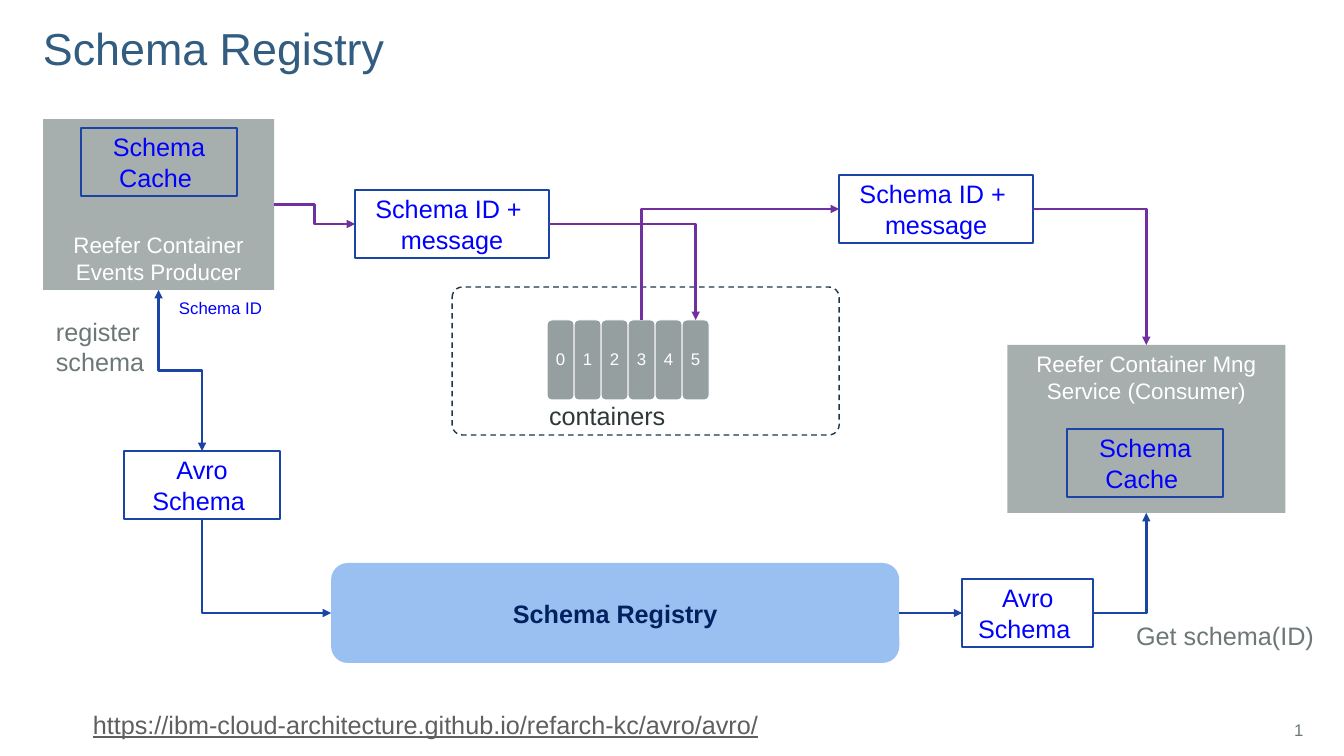
import pptx
import pptx.util
import pptx.dml.color
import pptx.enum.dml
import pptx.enum.shapes
import pptx.enum.text
import lxml.etree
from pptx.oxml.ns import qn

RGBColor = pptx.dml.color.RGBColor
Shape = pptx.enum.shapes.MSO_SHAPE
Link = pptx.enum.shapes.MSO_CONNECTOR
Anchor = pptx.enum.text.MSO_ANCHOR
Align = pptx.enum.text.PP_ALIGN
Pt = pptx.util.Pt

WHITE = RGBColor(0xFF, 0xFF, 0xFF)
TITLE_BLUE = RGBColor(0x32, 0x5C, 0x80)
NAVY = RGBColor(0x00, 0x20, 0x60)
DARK_SLATE = RGBColor(0x1D, 0x36, 0x49)
LINE_BLUE = RGBColor(0x1B, 0x44, 0xA7)
TEXT_BLUE = RGBColor(0x00, 0x00, 0xFF)
SKY = RGBColor(0x99, 0xC0, 0xF0)
PURPLE = RGBColor(0x70, 0x30, 0xA0)
PARTITION_GRAY = RGBColor(0x95, 0x9F, 0x9F)
SERVICE_GRAY = RGBColor(0xA7, 0xAE, 0xAE)
LABEL_GRAY = RGBColor(0x6D, 0x77, 0x77)
TOPIC_GRAY = RGBColor(0x2E, 0x38, 0x38)
URL_GRAY = RGBColor(0x5F, 0x5F, 0x5F)

PX = 914400 / 100.8
TOP, LEFT, BOTTOM, RIGHT = range(4)

deck = pptx.Presentation()
deck.slide_width = pptx.util.Inches(13.33)
deck.slide_height = pptx.util.Inches(7.5)
page = deck.slides.add_slide(deck.slide_layouts[6])


def add_text(text, place, shape=None, fill=None, line=None, weight=1.25,
             size=18, color=TEXT_BLUE, bold=False, underline=False,
             align=Align.LEFT, anchor=Anchor.TOP, wrap=True,
             spacing=None, margins=None):
    bounds = [round(value * PX) for value in place]
    if shape is None:
        box = page.shapes.add_textbox(*bounds)
    else:
        box = page.shapes.add_shape(shape, *bounds)
        box.shadow.inherit = False
        if fill is None:
            box.fill.background()
        else:
            box.fill.solid()
            box.fill.fore_color.rgb = fill
        if line is None:
            box.line.fill.background()
        else:
            box.line.color.rgb = line
            box.line.width = Pt(weight)
    frame = box.text_frame
    frame.word_wrap = wrap
    frame.vertical_anchor = anchor
    if margins:
        (frame.margin_left, frame.margin_top,
         frame.margin_right, frame.margin_bottom) = [round(m * PX) for m in margins]
    frame.text = text
    for para in frame.paragraphs:
        para.alignment = align
        if spacing:
            para.line_spacing = spacing
        for span in para.runs:
            span.font.name = "Arial"
            span.font.size = Pt(size)
            span.font.bold = bold
            span.font.underline = underline
            span.font.color.rgb = color
    return box


def add_arrow(start, start_side, finish, finish_side, preset, color, heads):
    kind = Link.STRAIGHT if preset == "line" else Link.ELBOW
    arrow = page.shapes.add_connector(kind, 0, 0, 0, 0)
    arrow.begin_connect(start, start_side)
    arrow.end_connect(finish, finish_side)
    arrow.line.color.rgb = color
    arrow.line.width = Pt(2)
    properties = arrow._element.spPr
    properties.find(qn("a:prstGeom")).set("prst", preset)
    outline = properties.find(qn("a:ln"))
    for head in heads:
        lxml.etree.SubElement(outline, qn("a:" + head)).set("type", "triangle")
    lxml.etree.SubElement(properties, qn("a:effectLst"))
    return arrow


# Title, page number and address
add_text("Schema Registry", (43, 7, 1200, 68), size=32, color=TITLE_BLUE,
         anchor=Anchor.BOTTOM, spacing=0.85, margins=(0, 5, 10, 0))
add_text("1", (1255, 710, 58, 40), size=12, color=LABEL_GRAY,
         align=Align.RIGHT, anchor=Anchor.MIDDLE)
add_text("https://ibm-cloud-architecture.github.io/refarch-kc/avro/avro/",
         (83, 704, 1021, 40), color=URL_GRAY, underline=True)

# Registry and the two services
registry = add_text("Schema Registry", (331, 563, 568, 100), Shape.ROUNDED_RECTANGLE,
                    fill=SKY, color=NAVY, bold=True,
                    align=Align.CENTER, anchor=Anchor.MIDDLE)
producer = add_text("Reefer Container Events Producer", (43, 119, 231, 171),
                    Shape.RECTANGLE, fill=SERVICE_GRAY, size=16, color=WHITE,
                    align=Align.CENTER, anchor=Anchor.BOTTOM)
consumer = add_text("Reefer Container Mng Service (Consumer)", (1007, 345, 278, 168),
                    Shape.RECTANGLE, fill=SERVICE_GRAY, size=16, color=WHITE,
                    align=Align.CENTER)

# Topic with its partitions
partitions = [
    add_text(str(number), (547 + 27 * number, 320, 27, 80), Shape.ROUNDED_RECTANGLE,
             fill=PARTITION_GRAY, line=WHITE, weight=0.75, size=12, color=WHITE,
             align=Align.CENTER, anchor=Anchor.MIDDLE, spacing=0.9,
             margins=(0, 0, 0, 0))
    for number in range(6)]
topic = add_text("", (452, 287, 387, 148), Shape.ROUNDED_RECTANGLE,
                 line=DARK_SLATE, weight=1)
topic.adjustments[0] = 0.07
topic.line.dash_style = pptx.enum.dml.MSO_LINE.DASH

# Outlined schema and message boxes
outlined = {}
for name, text, place in (
        ("sent", "Schema ID + \nmessage", (355, 190, 194, 68)),
        ("received", "Schema ID + \nmessage", (839, 175, 194, 68)),
        ("registered", "Avro Schema ", (124, 451, 156, 68)),
        ("fetched", "Avro Schema ", (962, 579, 131, 68)),
        ("producer cache", "Schema Cache ", (81, 128, 156, 68)),
        ("consumer cache", "Schema Cache ", (1067, 429, 156, 68))):
    outlined[name] = add_text(text, place, Shape.RECTANGLE, line=LINE_BLUE,
                              align=Align.CENTER, anchor=Anchor.MIDDLE)
sent, received = outlined["sent"], outlined["received"]
registered, fetched = outlined["registered"], outlined["fetched"]

# Message flow in purple, schema flow in blue
for start, start_side, finish, finish_side, preset, color, head in (
        (producer, RIGHT, sent, LEFT, "bentConnector3", PURPLE, "tailEnd"),
        (sent, RIGHT, partitions[5], TOP, "bentConnector2", PURPLE, "tailEnd"),
        (received, LEFT, partitions[3], TOP, "bentConnector2", PURPLE, "headEnd"),
        (received, RIGHT, consumer, TOP, "bentConnector2", PURPLE, "tailEnd"),
        (registry, LEFT, registered, BOTTOM, "bentConnector2", LINE_BLUE, "headEnd"),
        (registry, RIGHT, fetched, LEFT, "line", LINE_BLUE, "tailEnd"),
        (fetched, RIGHT, consumer, BOTTOM, "bentConnector2", LINE_BLUE, "tailEnd")):
    add_arrow(start, start_side, finish, finish_side, preset, color, [head])

# Two-way registration arrow: a quarter turn makes it leave vertically
registration = add_arrow(registered, TOP, producer, BOTTOM, "bentConnector3",
                         LINE_BLUE, ["headEnd", "tailEnd"])
across, upward = registration.width, registration.height
registration.left += (across - upward) // 2
registration.top += (upward - across) // 2
registration.width, registration.height = upward, across
turn = registration._element.spPr.find(qn("a:xfrm"))
turn.set("rot", str(270 * 60000))
turn.set("flipH", "0")
turn.set("flipV", "1")

# Free labels
for text, place, size, color in (
        ("containers", (539, 395, 138, 40), 18, TOPIC_GRAY),
        ("Get schema(ID)", (1126, 615, 200, 40), 18, LABEL_GRAY),
        ("register\nschema", (46, 311, 112, 72), 18, LABEL_GRAY),
        ("Schema ID", (169, 293, 104, 30), 12, TEXT_BLUE)):
    add_text(text, place, size=size, color=color, wrap=False)

deck.save("out.pptx")
